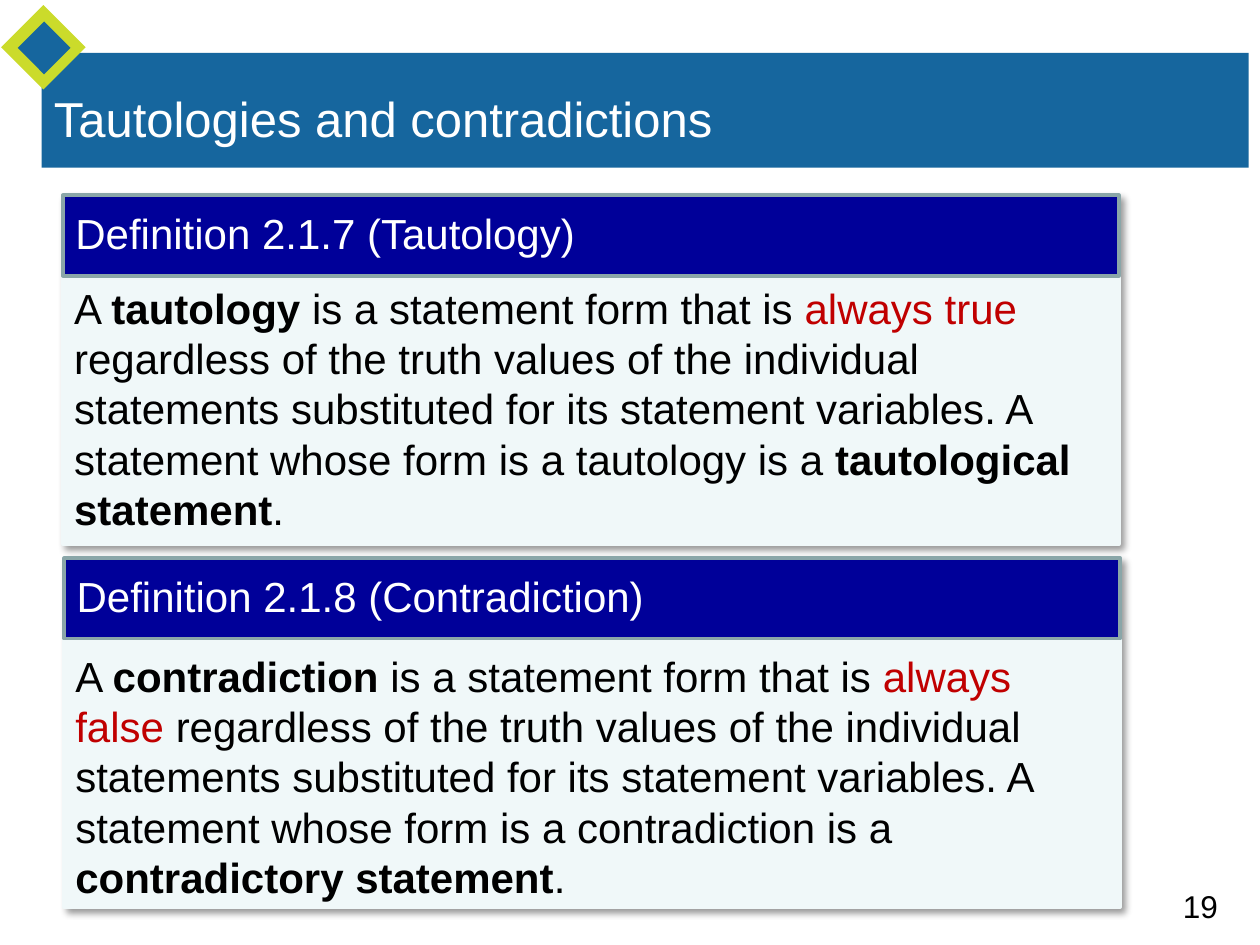
import pptx
import pptx.util
import pptx.dml.color
import pptx.enum.shapes
import pptx.enum.text
import pptx.oxml
import pptx.oxml.ns

presentation = pptx.Presentation()
presentation.slide_width = pptx.util.Inches(10)
presentation.slide_height = pptx.util.Inches(7.5)
slide = presentation.slides.add_slide(presentation.slide_layouts[6])

column = presentation.slide_width / 100
row = presentation.slide_height / 75
color = pptx.dml.color.RGBColor.from_string
kinds = pptx.enum.shapes.MSO_SHAPE
anchors = pptx.enum.text.MSO_ANCHOR

SHADOW = (
    f'<a:outerShdw {pptx.oxml.ns.nsdecls("a")} blurRad="50800" dist="38100" '
    'dir="2700000" algn="tl" rotWithShape="0"><a:srgbClr val="000000">'
    '<a:alpha val="40000"/></a:srgbClr></a:outerShdw>'
)


def add_block(kind, left, top, width, height, fill, line=None):
    shape = slide.shapes.add_shape(
        kind, int(left * column), int(top * row), int(width * column), int(height * row))
    shape.shadow.inherit = False
    shape.fill.solid()
    shape.fill.fore_color.rgb = color(fill)
    if line:
        shape.line.color.rgb = color(line)
        shape.line.width = pptx.util.Pt(2)
    else:
        shape.line.fill.background()
    return shape


def add_text(left, top, width, height, size, runs, anchor=anchors.TOP, space_after=0):
    box = slide.shapes.add_textbox(
        int(left * column), int(top * row), int(width * column), int(height * row))
    frame = box.text_frame
    frame.word_wrap = True
    frame.vertical_anchor = anchor
    paragraph = frame.paragraphs[0]
    paragraph.space_after = pptx.util.Pt(space_after)
    for text, ink, bold in runs:
        run = paragraph.add_run()
        run.text = text
        run.font.name = "Arial"
        run.font.size = pptx.util.Pt(size)
        run.font.bold = bold
        run.font.color.rgb = color(ink)


add_text(92.9, 69.9, 7.1, 4, 18, [("19", "000000", False)])
add_block(kinds.RECTANGLE, 3.3, 4.2, 95.8, 9.1, "16669E")
add_block(kinds.DIAMOND, 0.1, 0.4, 6.7, 6.7, "CBDB2B")
add_block(kinds.DIAMOND, 1.4, 1.7, 4.2, 4.2, "16669E")
add_text(3.3, 3.1, 90, 12.5, 28,
         [("Tautologies and contradictions", "FFFFFF", False)], anchors.MIDDLE)

definitions = [
    (5, 15.5, 21.9, "Definition 2.1.7 (Tautology)",
     "tautology", "always true ", "tautological statement"),
    (5.1, 44.3, 51.1, "Definition 2.1.8 (Contradiction)",
     "contradiction", "always false ", "contradictory statement"),
]
for left, top, body_top, heading, term, verdict, statement in definitions:
    panel = add_block(kinds.RECTANGLE, left, top, 83.8, 27.7, "F0F8F9", "F0F8F9")
    effects = panel.element.spPr.find(pptx.oxml.ns.qn("a:effectLst"))
    effects.append(pptx.oxml.parse_xml(SHADOW))
    add_block(kinds.RECTANGLE, left, top, 83.8, 6.4, "000099", "8AA6A8")
    add_text(left, top + 0.5, 82.4, 5, 24, [(heading, "FFFFFF", False)])
    add_text(left - 0.1, body_top, 82.4, 17.5, 24, [
        ("A ", "000000", False),
        (term + " ", "000000", True),
        ("is a statement form that is ", "000000", False),
        (verdict, "C00000", False),
        ("regardless of the truth values of the individual statements substituted "
         f"for its statement variables. A statement whose form is a {term} is a ",
         "000000", False),
        (statement, "000000", True),
        (".", "000000", False),
    ], space_after=6)

presentation.save("out.pptx")
